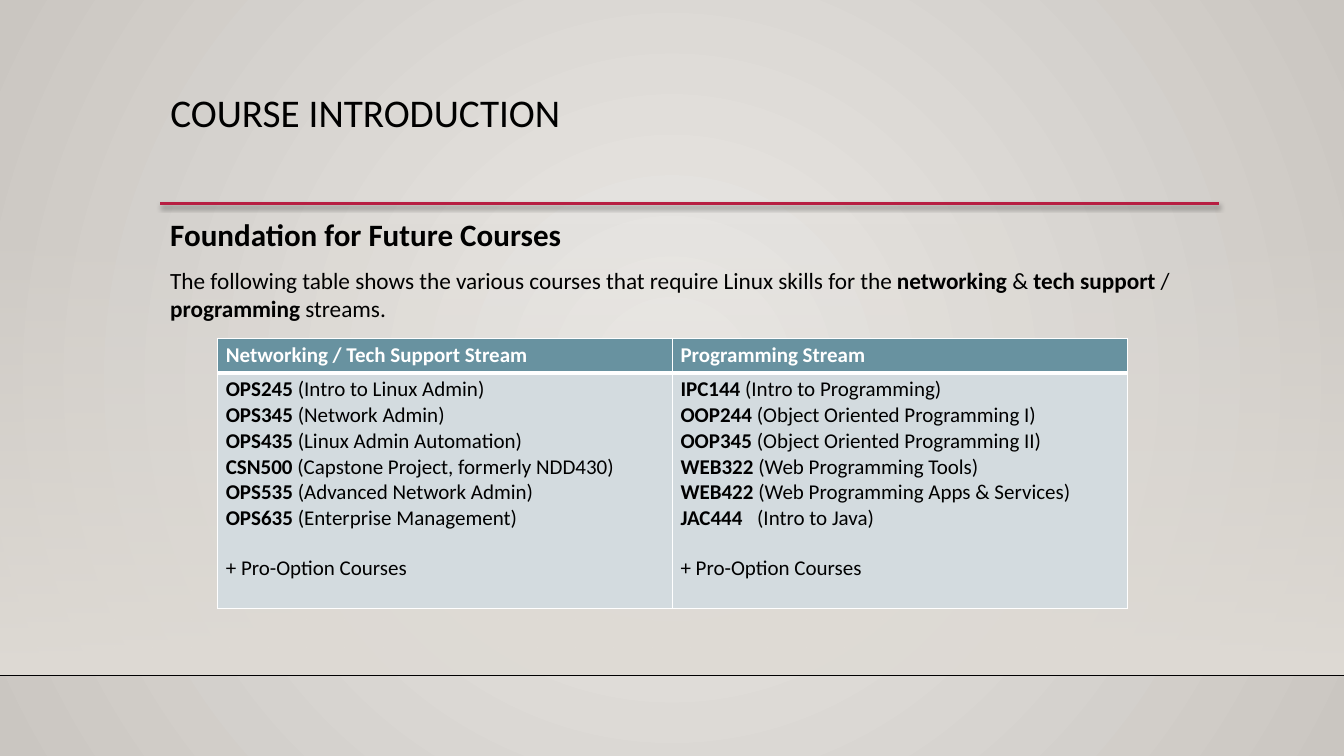
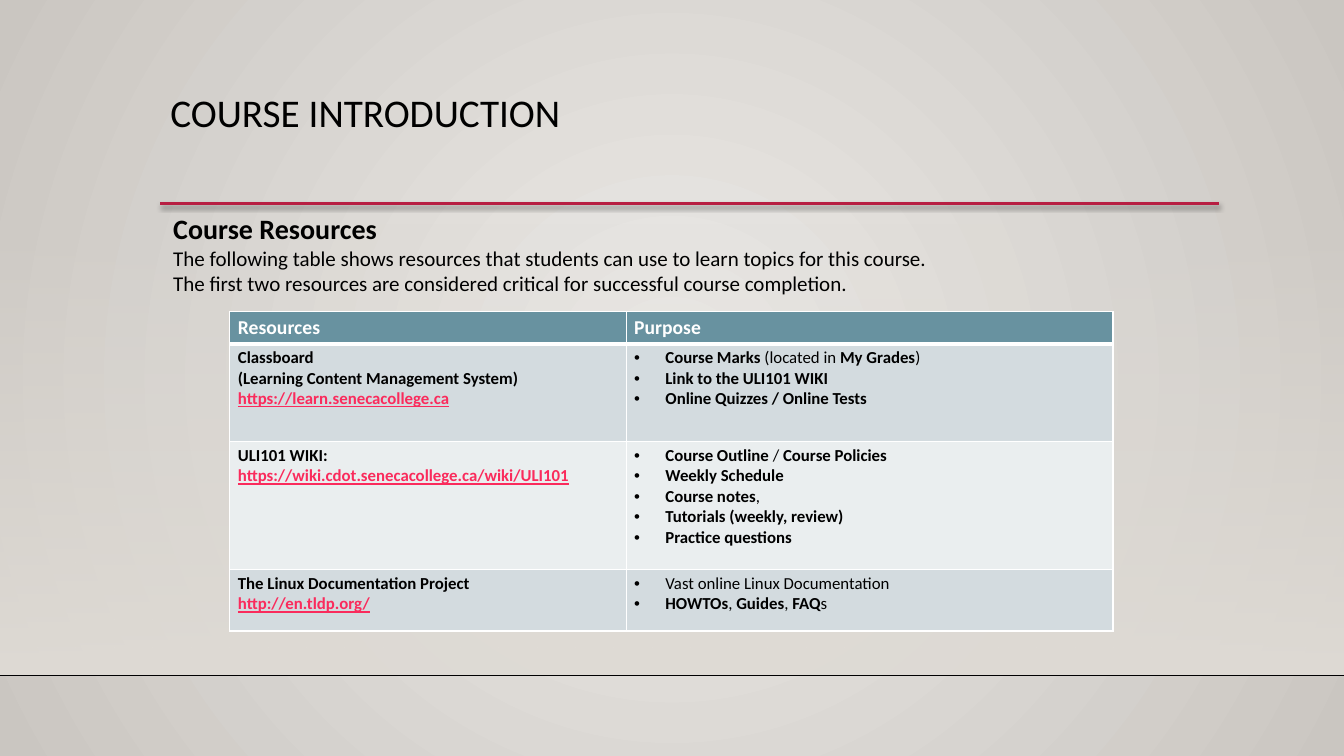
from dataclasses import dataclass

from lxml.etree import SubElement
from pptx import Presentation
from pptx.dml.color import RGBColor
from pptx.enum.shapes import MSO_CONNECTOR, MSO_SHAPE
from pptx.enum.text import MSO_ANCHOR, MSO_AUTO_SIZE, PP_ALIGN
from pptx.oxml.ns import qn
from pptx.util import Inches, Pt

BLACK = RGBColor(0x00, 0x00, 0x00)
WHITE = RGBColor(0xFF, 0xFF, 0xFF)
RULE_RED = RGBColor(0xB7, 0x1E, 0x42)
FLOOR_LINE = RGBColor(0x00, 0x00, 0x01)
LINK_PINK = RGBColor(0xFA, 0x2B, 0x5C)
HEADER_TEAL = RGBColor(0x68, 0x92, 0xA0)
BAND_DARK = RGBColor(0xD3, 0xDB, 0xDF)
BAND_LIGHT = RGBColor(0xEA, 0xEE, 0xEF)
BACKDROP_CENTRE = RGBColor(0xEC, 0xEA, 0xE7)
BACKDROP_EDGE = RGBColor(0xCA, 0xC6, 0xC1)
HAZE = RGBColor(0xDF, 0xDB, 0xD5)

FONT = "Calibri"
PAGE_WIDTH, PAGE_HEIGHT = 13.33, 7.5
MARGIN_LEFT, CONTENT_WIDTH = 1.59, 10.5
RULE_TOP, FLOOR_TOP = 2.02, 6.7
THIN, THICK = 0.96, 3
BULLET_INDENT = 0.31
TAB_STOP = 0.76


@dataclass
class Line:
    text: str
    size: float
    gap: float = 0
    spacing: float = 1.0
    colour: RGBColor = BLACK
    bullet: bool = False


def make_lines(size, *texts, bullet=False):
    return [Line(text, size, bullet=bullet) for text in texts]


def add_element(parent, tag, **attributes):
    return SubElement(parent, qn(tag), {key: str(value) for key, value in attributes.items()})


def add_solid_colour(parent, colour):
    return add_element(parent, "a:srgbClr", val=colour)


def add_bullet(para):
    properties = para._p.get_or_add_pPr()
    properties.set("marL", str(Inches(BULLET_INDENT)))
    properties.set("indent", str(-Inches(BULLET_INDENT)))
    add_solid_colour(add_element(properties, "a:buClr"), BLACK)
    add_element(properties, "a:buFont", typeface="Arial")
    add_element(properties, "a:buChar", char="•")


def add_tab_stop(para):
    stops = add_element(para._p.get_or_add_pPr(), "a:tabLst")
    add_element(stops, "a:tab", pos=Inches(TAB_STOP), algn="l")


def write_lines(frame, lines):
    for index, line in enumerate(lines):
        para = frame.paragraphs[0] if index == 0 else frame.add_paragraph()
        para.alignment = PP_ALIGN.LEFT
        para.line_spacing = line.spacing
        para.space_before = Pt(line.gap)
        if line.bullet:
            add_bullet(para)
        if "\t" in line.text:
            add_tab_stop(para)
        is_link = line.text.startswith("http")
        for position, part in enumerate(line.text.split("**")):
            if not part:
                continue
            span = para.add_run()
            span.text = part
            span.font.name = FONT
            span.font.size = Pt(line.size)
            span.font.bold = is_link or position % 2 == 1
            span.font.underline = is_link
            span.font.color.rgb = LINK_PINK if is_link else line.colour


def set_gradient(fill, colours):
    fill.gradient()
    for stop, colour in zip(fill.gradient_stops, colours):
        stop.color.rgb = colour


def style_master(master):
    set_gradient(master.background.fill, (BACKDROP_CENTRE, BACKDROP_EDGE))
    gradient = next(master.element.iter(qn("a:gradFill")))
    gradient.remove(gradient.find(qn("a:lin")))
    circle = add_element(gradient, "a:path", path="circle")
    add_element(circle, "a:fillToRect", l=50000, t=50000, r=50000, b=50000)


def add_haze(page, left, top, width, height):
    haze = page.shapes.add_shape(
        MSO_SHAPE.RECTANGLE, Inches(left), Inches(top), Inches(width), Inches(height))
    haze.shadow.inherit = False
    haze.line.fill.background()
    set_gradient(haze.fill, (HAZE, HAZE))
    haze.fill.gradient_angle = 270
    first_colour = next(haze._element.spPr.iter(qn("a:srgbClr")))
    add_element(first_colour, "a:alpha", val=0)


def add_rule(page, left, top, width, colour, weight, shadow=False):
    rule = page.shapes.add_connector(
        MSO_CONNECTOR.STRAIGHT, Inches(left), Inches(top), Inches(left + width), Inches(top))
    rule.line.color.rgb = colour
    rule.line.width = Pt(weight)
    effects = add_element(rule._element.spPr, "a:effectLst")
    if shadow:
        outer = add_element(effects, "a:outerShdw", blurRad=Pt(3.1), dist=Pt(1.8),
                            dir=5400000, algn="t", rotWithShape=0)
        add_element(add_solid_colour(outer, BLACK), "a:alpha", val=35000)


def set_title(page, left, top, width, height):
    title = page.shapes.title
    title.left, title.top = Inches(left), Inches(top)
    title.width, title.height = Inches(width), Inches(height)
    frame = title.text_frame
    frame.auto_size = MSO_AUTO_SIZE.NONE
    frame.vertical_anchor = MSO_ANCHOR.TOP
    write_lines(frame, [Line("COURSE INTRODUCTION", 28, spacing=0.9)])


def add_course_page(deck):
    page = deck.slides.add_slide(deck.slide_layouts[5])
    add_haze(page, 0, 2.21, PAGE_WIDTH, FLOOR_TOP - 2.21)
    add_rule(page, 0, FLOOR_TOP, PAGE_WIDTH, FLOOR_LINE, 1)
    add_rule(page, MARGIN_LEFT, RULE_TOP, CONTENT_WIDTH, RULE_RED, 2.5, shadow=True)
    set_title(page, MARGIN_LEFT, 0.88, CONTENT_WIDTH, 1.15)
    return page


def add_text(page, left, top, width, height, lines):
    box = page.shapes.add_textbox(Inches(left), Inches(top), Inches(width), Inches(height))
    box.text_frame.word_wrap = True
    write_lines(box.text_frame, lines)


def set_borders(cell, row_index):
    weights = {
        "a:lnL": THIN,
        "a:lnR": THIN,
        "a:lnT": THICK if row_index == 1 else THIN,
        "a:lnB": THICK if row_index == 0 else THIN,
    }
    properties = cell._tc.get_or_add_tcPr()
    for tag, weight in weights.items():
        border = add_element(properties, tag, w=Pt(weight))
        add_solid_colour(add_element(border, "a:solidFill"), WHITE)


def add_course_table(page, left, top, column_widths, row_heights, headings, heading_size, body):
    header = [[Line(f"**{heading}**", heading_size, colour=WHITE)] for heading in headings]
    table = page.shapes.add_table(
        len(row_heights), len(column_widths), Inches(left), Inches(top),
        Inches(sum(column_widths)), Inches(sum(row_heights))).table
    table.horz_banding = False
    for column, width in zip(table.columns, column_widths):
        column.width = Inches(width)
    for row_index, (height, contents) in enumerate(zip(row_heights, [header] + body)):
        table.rows[row_index].height = Inches(height)
        band = BAND_DARK if row_index % 2 else BAND_LIGHT
        for column_index, lines in enumerate(contents):
            cell = table.cell(row_index, column_index)
            cell.margin_left = cell.margin_right = Inches(0.08)
            cell.margin_top = cell.margin_bottom = Inches(0.04)
            set_borders(cell, row_index)
            cell.fill.solid()
            cell.fill.fore_color.rgb = band if row_index else HEADER_TEAL
            write_lines(cell.text_frame, lines)


def build_future_courses(deck):
    page = add_course_page(deck)
    add_text(page, MARGIN_LEFT, 2.05, CONTENT_WIDTH, 1.46, [
        Line("**Foundation for Future Courses**", 22.2, spacing=1.1),
        Line("The following table shows the various courses that require Linux skills for the "
             "**networking** & **tech support **/ **programming** streams.", 16.6, gap=10),
    ])
    options = Line("+ Pro-Option Courses", 15, gap=17)
    networking = make_lines(
        15,
        "**OPS245** (Intro to Linux Admin)",
        "**OPS345** (Network Admin)",
        "**OPS435** (Linux Admin Automation)",
        "**CSN500** (Capstone Project, formerly NDD430)",
        "**OPS535** (Advanced Network Admin)",
        "**OPS635** (Enterprise Management)")
    programming = make_lines(
        15,
        "**IPC144 **(Intro to Programming)",
        "**OOP244 **(Object Oriented Programming I)",
        "**OOP345 **(Object Oriented Programming II)",
        "**WEB322 **(Web Programming Tools)",
        "**WEB422 **(Web Programming Apps & Services)",
        "**JAC444**\t(Intro to Java)")
    add_course_table(
        page, 2.16, 3.36, [4.51, 4.51], [0.34, 2.34],
        ["Networking / Tech Support Stream", "Programming Stream"], 15,
        [[networking + [options], programming + [options]]])


def build_resources(deck):
    page = add_course_page(deck)
    add_text(page, 1.62, 2.05, 10.47, 1.01, [
        Line("**Course Resources**", 20),
        *make_lines(
            15,
            "The following table shows resources that students can use to learn topics "
            "for this course.",
            "The first two resources are considered critical for successful course completion."),
    ])
    body = [
        [make_lines(12, "**Classboard**", "**(Learning Content Management System)**",
                    "https://learn.senecacollege.ca"),
         make_lines(12, "**Course Marks **(located in **My Grades**)",
                    "**Link to the ULI101 WIKI**",
                    "**Online Quizzes / Online Tests**", bullet=True)],
        [make_lines(12, "**ULI101 WIKI:**",
                    "https://wiki.cdot.senecacollege.ca/wiki/ULI101"),
         make_lines(12, "**Course Outline **/ **Course Policies**",
                    "**Weekly Schedule**", "**Course notes**,",
                    "**Tutorials (weekly, review)**",
                    "**Practice questions**", bullet=True)],
        [make_lines(12, "**The Linux Documentation Project**", "http://en.tldp.org/"),
         make_lines(12, "Vast online Linux Documentation",
                    "**HOWTOs**, **Guides**, **FAQ**s", bullet=True)],
    ]
    add_course_table(page, 2.28, 3.09, [3.93, 4.83], [0.32, 0.97, 1.27, 0.61],
                     ["Resources", "Purpose"], 14, body)


def main():
    deck = Presentation()
    deck.slide_width = Inches(PAGE_WIDTH)
    deck.slide_height = Inches(PAGE_HEIGHT)
    style_master(deck.slide_master)
    build_future_courses(deck)
    build_resources(deck)
    deck.save("out.pptx")


if __name__ == "__main__":
    main()
